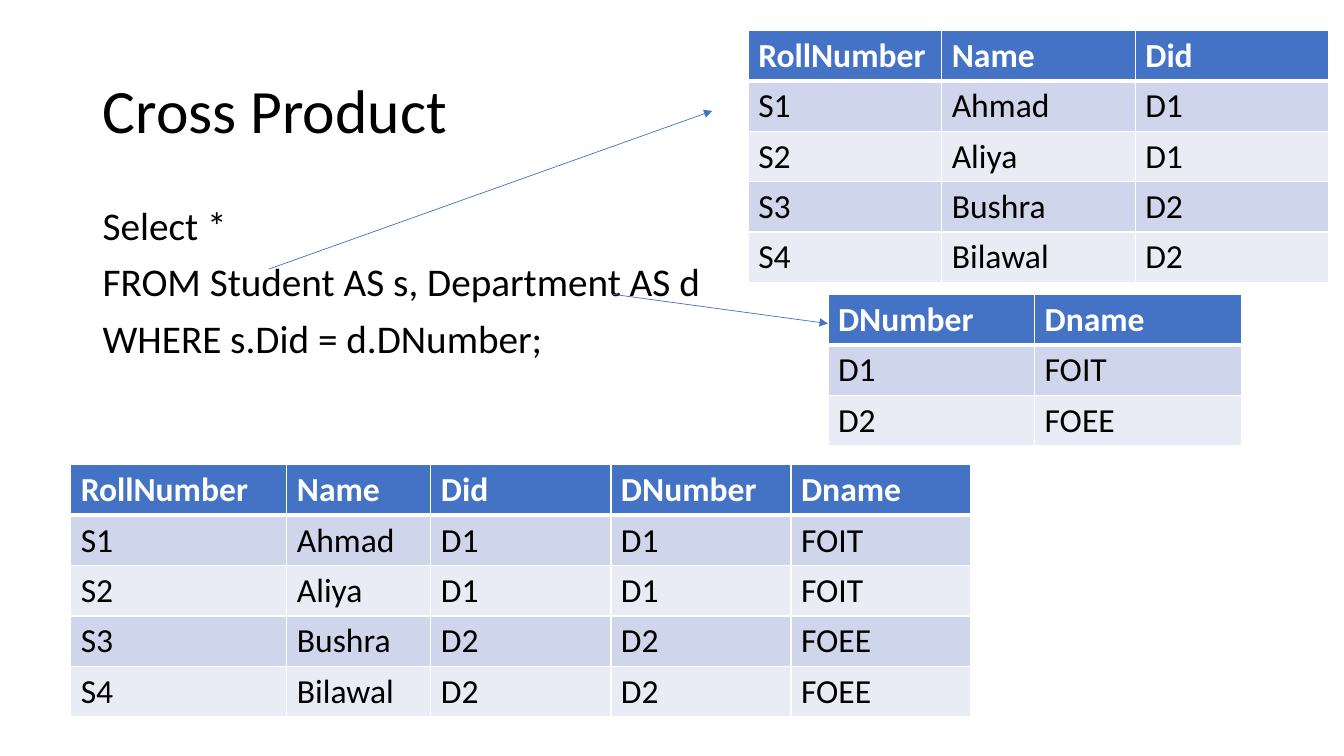
from dataclasses import dataclass

from lxml.etree import SubElement
from pptx import Presentation
from pptx.dml.color import RGBColor
from pptx.enum.shapes import MSO_CONNECTOR
from pptx.enum.text import MSO_ANCHOR
from pptx.oxml.ns import qn
from pptx.util import Inches, Pt


@dataclass(frozen=True)
class Theme:
    """Colours, font and sizes of the slide."""
    font: str = "Calibri"
    black: str = "000000"
    white: str = "FFFFFF"
    accent: str = "4472C4"
    bands: tuple = ("CFD5EA", "E9EBF5")
    title_size: int = 44
    body_size: int = 28
    table_size: int = 24
    arrow_width: float = 0.5
    border: int = 1
    header_border: int = 3


THEME = Theme()
WIDTH, HEIGHT = Inches(13.33), Inches(7.5)
ROW_HEIGHT = 6.67

STUDENTS = [
    ("RollNumber", "Name", "Did"),
    ("S1", "Ahmad", "D1"),
    ("S2", "Aliya", "D1"),
    ("S3", "Bushra", "D2"),
    ("S4", "Bilawal", "D2"),
]
DEPARTMENTS = [("DNumber", "Dname"), ("D1", "FOIT"), ("D2", "FOEE")]
QUERY = [
    "Select *",
    "FROM Student AS s, Department AS d",
    "WHERE s.Did = d.DNumber;",
]


def across(percent):
    """Return a percentage of the slide's width."""
    return int(WIDTH * percent / 100)


def down(percent):
    """Return a percentage of the slide's height."""
    return int(HEIGHT * percent / 100)


def apply_format(target, values):
    """Set each named attribute of the target."""
    for name, value in values.items():
        setattr(target, name, value)


def style_font(font, size, color, bold=False):
    """Apply the theme font with a size, colour and weight."""
    apply_format(font, {"name": THEME.font, "size": Pt(size), "bold": bold})
    font.color.rgb = RGBColor.from_string(color)


def add_text(slide, box, lines, size, anchor):
    """Add a text box with one paragraph for each line."""
    left, top, width, height = box
    shape = slide.shapes.add_textbox(across(left), down(top), across(width), down(height))
    frame = shape.text_frame
    apply_format(frame, {"word_wrap": True, "vertical_anchor": anchor, "text": "\n".join(lines)})
    for index, paragraph in enumerate(frame.paragraphs):
        apply_format(paragraph, {"line_spacing": 0.9, "space_before": Pt(10 if index else 0)})
        style_font(paragraph.font, size, THEME.black)


def add_border(cell, side, width):
    """Draw a white line on one side of a cell."""
    properties = cell._tc.get_or_add_tcPr()
    line = SubElement(properties, qn(f"a:ln{side}"), w=str(Pt(width)))
    fill = SubElement(line, qn("a:solidFill"))
    SubElement(fill, qn("a:srgbClr"), val=THEME.white)


def style_cell(cell, row, text):
    """Fill, border and label a header or banded cell."""
    header = row == 0
    widths = {
        "L": THEME.border,
        "R": THEME.border,
        "T": THEME.header_border if row == 1 else THEME.border,
        "B": THEME.header_border if header else THEME.border,
    }
    for side, width in widths.items():
        add_border(cell, side, width)
    cell.fill.solid()
    fill = THEME.accent if header else THEME.bands[(row - 1) % 2]
    cell.fill.fore_color.rgb = RGBColor.from_string(fill)
    cell.text = text
    color = THEME.white if header else THEME.black
    style_font(cell.text_frame.paragraphs[0].font, THEME.table_size, color, header)


def add_data_table(slide, left, top, width, records, weights):
    """Add a table whose columns share its width by weight."""
    frame = slide.shapes.add_table(
        len(records), len(weights), across(left), down(top),
        across(width), down(ROW_HEIGHT * len(records)),
    )
    table = frame.table
    for column, weight in zip(table.columns, weights):
        column.width = across(width * weight / sum(weights))
    for row, record in enumerate(records):
        for column, text in enumerate(record):
            style_cell(table.cell(row, column), row, text)


def add_arrow(slide, start, end):
    """Add a thin arrow between two points."""
    arrow = slide.shapes.add_connector(
        MSO_CONNECTOR.STRAIGHT, across(start[0]), down(start[1]), across(end[0]), down(end[1])
    )
    arrow.line.width = Pt(THEME.arrow_width)
    arrow.line.color.rgb = RGBColor.from_string(THEME.accent)
    SubElement(arrow.line._get_or_add_ln(), qn("a:tailEnd"), type="triangle")
    SubElement(arrow._element.spPr, qn("a:effectLst"))


def join_records():
    """Match each student with the department it belongs to."""
    header = STUDENTS[0] + DEPARTMENTS[0]
    names = dict(DEPARTMENTS[1:])
    return [header] + [student + (student[2], names[student[2]]) for student in STUDENTS[1:]]


def main():
    """Build and save the slide."""
    presentation = Presentation()
    apply_format(presentation, {"slide_width": WIDTH, "slide_height": HEIGHT})
    slide = presentation.slides.add_slide(presentation.slide_layouts[6])
    add_text(slide, (6.9, 5.33, 86.25, 19.33), ["Cross Product"], THEME.title_size, MSO_ANCHOR.MIDDLE)
    add_text(slide, (6.9, 26.67, 86.25, 63.47), QUERY, THEME.body_size, MSO_ANCHOR.TOP)
    add_data_table(slide, 5.26, 61.47, 67, join_records(), (6, 4, 5, 5, 5))
    add_data_table(slide, 55.67, 4, 43.2, STUDENTS, (1, 1, 1))
    add_data_table(slide, 61.6, 38.93, 30.75, DEPARTMENTS, (1, 1))
    add_arrow(slide, (20, 35.6), (53, 14.67))
    add_arrow(slide, (45.6, 38.93), (61.6, 42.8))
    presentation.save("out.pptx")


if __name__ == "__main__":
    main()
